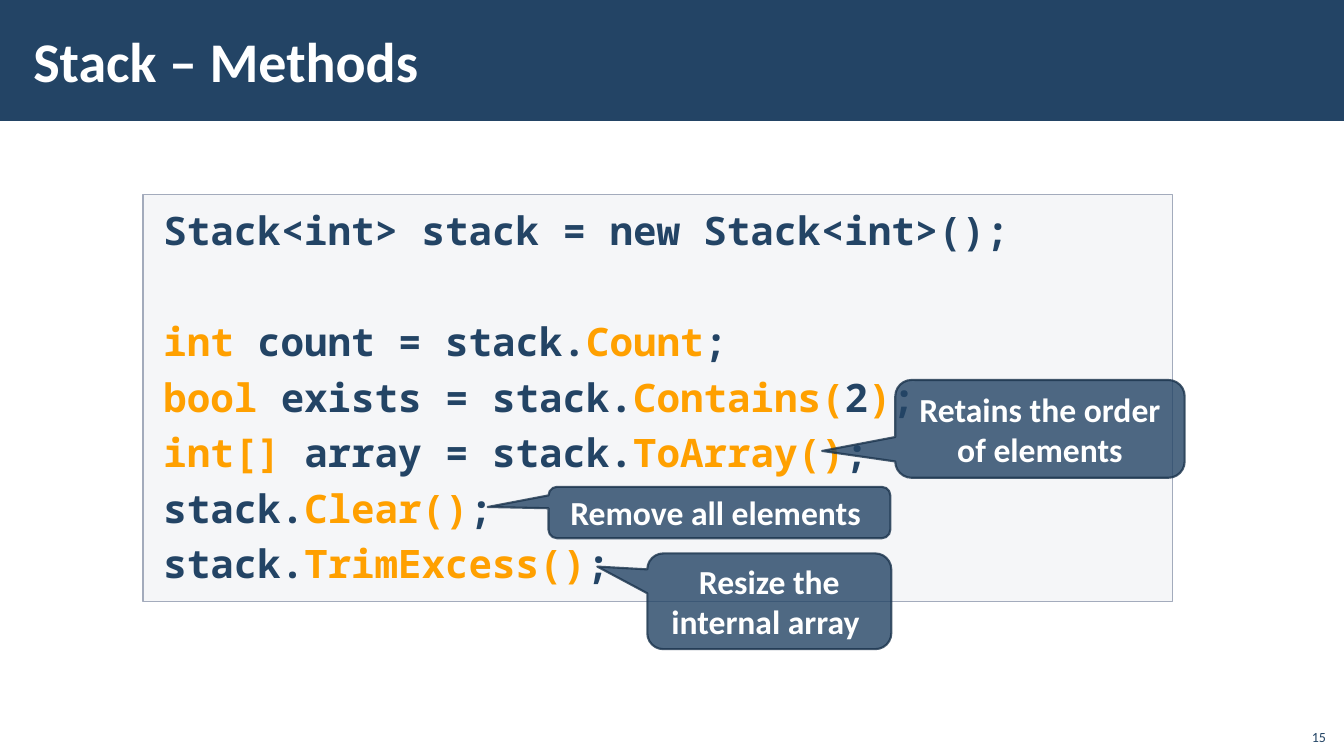
from lxml import etree
from pptx import Presentation, util as u
from pptx.dml.color import RGBColor
from pptx.enum import shapes, text
from pptx.oxml import ns

NAVY = RGBColor(0x23, 0x44, 0x65)
DARK = RGBColor(0x1A, 0x33, 0x4C)
AMBER = RGBColor(0xFF, 0xA0, 0x00)
WHITE = RGBColor(0xFF, 0xFF, 0xFF)
PALE = RGBColor(0xC2, 0xC7, 0xD2)
EDGE = RGBColor(0xA3, 0xAB, 0xBC)
SANS, MONO = "Calibri", "Noto Sans Mono"
WIDE, HIGH = 13.33, 7.5
GAP, BREAK = 3, 42.6

# Odd pieces of each line are highlighted.
CODE = [
    ["Stack<int> stack = new Stack<int>();"],
    ["", "int", " count = stack.", "Count", ";"],
    ["", "bool", " exists = stack.", "Contains(", "2", ")", ";"],
    ["", "int[]", " array = stack.", "ToArray()", ";"],
    ["stack.", "Clear()", ";"],
    ["stack.", "TrimExcess()", ";"],
]
CALLS = [
    ("Retains the order of elements", (8.88, 3.77, 2.87, 0.97), (-0.753, 0.226)),
    ("Remove all elements ", (5.44, 4.83, 3.39, 0.51), (-0.678, -0.108)),
    ("Resize the internal array ", (6.42, 5.49, 2.42, 0.95), (-0.705, -0.362)),
]


def apply(item, **vals):
    for name, val in vals.items():
        setattr(item, name, val)


def fade(fill, share):
    """Set the opacity of a solid fill, in percent."""
    color = fill._xPr.find(".//" + ns.qn("a:srgbClr"))
    etree.SubElement(color, ns.qn("a:alpha"), val=str(share * 1000))


def panel(slide, kind, box, fill, line=None, width=1, alpha=100):
    shape = slide.shapes.add_shape(kind, *map(u.Inches, box))
    shape.shadow.inherit = False
    shape.fill.solid()
    shape.fill.fore_color.rgb = fill
    fade(shape.fill, alpha)
    if line is None:
        shape.line.fill.background()
    else:
        shape.line.color.rgb = line
        shape.line.width = u.Pt(width)
    return shape


def frame(shape, anchor, side, edge):
    body = shape.text_frame
    apply(body, word_wrap=True, vertical_anchor=anchor,
          margin_left=u.Inches(side), margin_right=u.Inches(side),
          margin_top=u.Inches(edge), margin_bottom=u.Inches(edge))
    return body


def write(para, words, size, color, face=SANS, bold=True):
    run = para.add_run()
    run.text = words
    apply(run.font, size=u.Pt(size), name=face, bold=bold)
    run.font.color.rgb = color


def header(slide, box, words):
    left, top, width, height = box
    panel(slide, shapes.MSO_SHAPE.RECTANGLE, box, NAVY)
    area = (left + 0.21, top + 0.11, width * 0.8, height - 0.23)
    title = slide.shapes.add_textbox(*map(u.Inches, area))
    body = frame(title, text.MSO_ANCHOR.MIDDLE, 0.12, 0.04)
    write(body.paragraphs[0], words, 40, WHITE)


def listing(slide, box):
    shape = panel(slide, shapes.MSO_SHAPE.RECTANGLE, box, PALE, EDGE, alpha=15)
    body = frame(shape, text.MSO_ANCHOR.TOP, 0.2, 0.12)
    for row, line in enumerate(CODE):
        para = body.add_paragraph() if row else body.paragraphs[0]
        apply(para, alignment=text.PP_ALIGN.LEFT,
              space_before=u.Pt(GAP if row else 0),
              space_after=u.Pt(GAP if row else BREAK))
        for spot, piece in enumerate(line):
            if piece:
                write(para, piece, 28, AMBER if spot % 2 else NAVY, MONO)


def callout(slide, words, box, tip):
    kind = shapes.MSO_SHAPE.ROUNDED_RECTANGULAR_CALLOUT
    shape = panel(slide, kind, box, NAVY, DARK, 1.5, 80)
    fade(shape.line.fill, 80)
    shape.adjustments[0], shape.adjustments[1] = tip
    body = frame(shape, text.MSO_ANCHOR.MIDDLE, 0.1, 0.05)
    para = body.paragraphs[0]
    para.alignment = text.PP_ALIGN.CENTER
    write(para, words, 24, WHITE)


def number(slide, box, words):
    shape = slide.shapes.add_textbox(*map(u.Inches, box))
    para = frame(shape, text.MSO_ANCHOR.BOTTOM, 0.1, 0.05).paragraphs[0]
    para.alignment = text.PP_ALIGN.RIGHT
    write(para, words, 10, NAVY, bold=False)


def main():
    deck = Presentation()
    apply(deck, slide_width=u.Inches(WIDE), slide_height=u.Inches(HIGH))
    slide = deck.slides.add_slide(deck.slide_layouts[6])
    header(slide, (0, 0, WIDE, HIGH * 0.16), "Stack – Methods")
    listing(slide, (1.42, 1.93, 10.21, 4.04))
    for call in CALLS:
        callout(slide, *call)
    number(slide, (12.85, 7.12, 0.4, 0.32), "15")
    deck.save("out.pptx")


if __name__ == "__main__":
    main()
